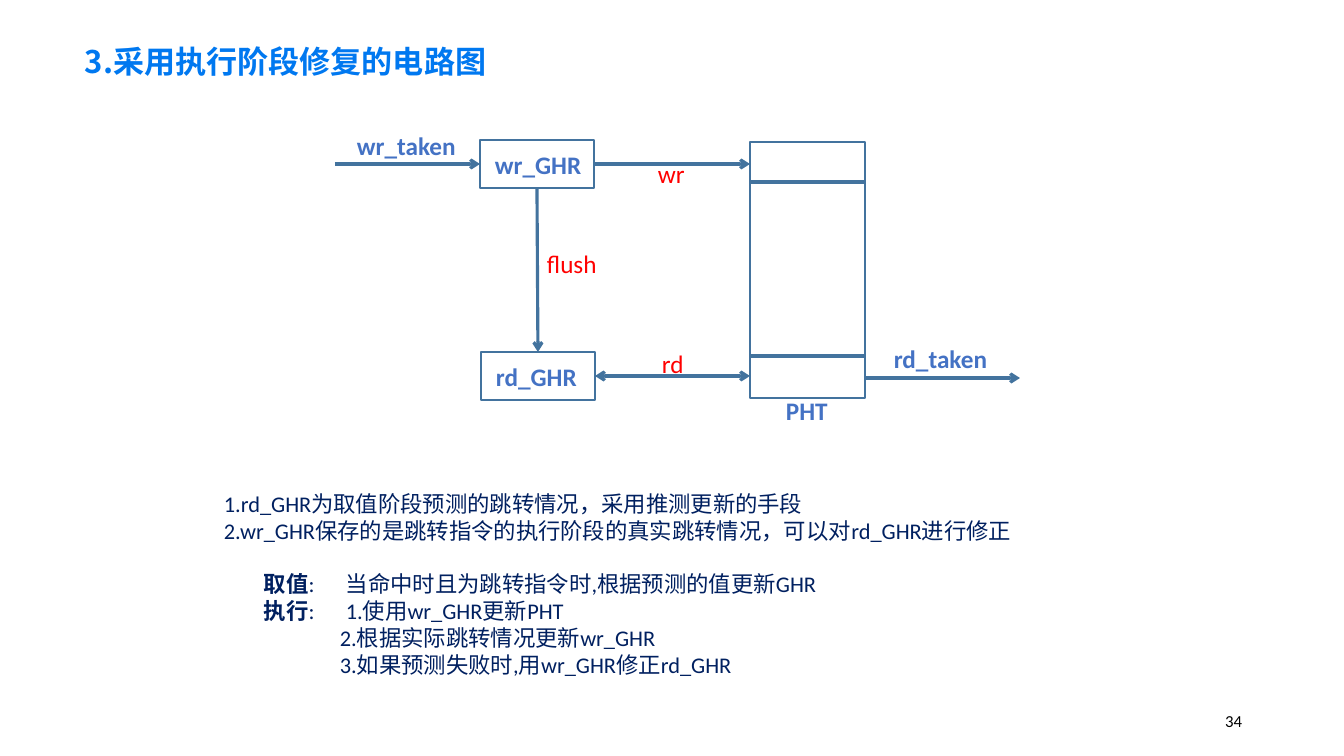
import lxml.etree
import pptx
import pptx.dml.color
import pptx.enum.shapes
import pptx.enum.text
import pptx.oxml.ns
import pptx.util

SLIDE_WIDTH, SLIDE_HEIGHT = 1344, 756
SCALE = 12192000 / SLIDE_WIDTH
COLORS = {"title": "0078F0", "line": "43739E", "label": "4472C4",
          "signal": "FF0000", "notes": "002060", "number": "000000"}
LATIN, CHINESE = "Calibri", "Noto Sans CJK SC"
ALIGN = pptx.enum.text.PP_ALIGN
ANCHOR = pptx.enum.text.MSO_ANCHOR
TOP, LEFT, BOTTOM, RIGHT = range(4)


def px(length):
    return pptx.util.Emu(round(length * SCALE))


def color(name):
    return pptx.dml.color.RGBColor.from_string(COLORS[name])


def add_xml(parent, tag, **attributes):
    return lxml.etree.SubElement(parent, pptx.oxml.ns.qn(tag), attributes)


def add_run(paragraph, text, size, color_name, bold=False, font=LATIN):
    run = paragraph.add_run()
    run.text = text
    run.font.size = pptx.util.Pt(size)
    run.font.bold = bold
    run.font.name = font
    run.font.color.rgb = color(color_name)
    add_xml(run.font._element, "a:ea", typeface=CHINESE)


def add_frame(slide, box, wrap=True, anchor=ANCHOR.TOP):
    frame = slide.shapes.add_textbox(*map(px, box)).text_frame
    frame.word_wrap = wrap
    frame.vertical_anchor = anchor
    return frame


def add_text(slide, box, text, size=18, color_name="label", bold=False,
             font=LATIN, wrap=False, anchor=ANCHOR.TOP, align=ALIGN.LEFT):
    paragraph = add_frame(slide, box, wrap, anchor).paragraphs[0]
    paragraph.alignment = align
    add_run(paragraph, text, size, color_name, bold, font)
    return paragraph


def add_rectangle(slide, box):
    kind = pptx.enum.shapes.MSO_SHAPE.RECTANGLE
    rectangle = slide.shapes.add_shape(kind, *map(px, box))
    rectangle.shadow.inherit = False
    rectangle.fill.background()
    rectangle.line.color.rgb = color("line")
    rectangle.line.width = pptx.util.Pt(1)
    return rectangle


def add_line(slide, start, end, arrows=(), begin=None, finish=None):
    """Draw a line; begin and finish are (shape, side) pairs to join."""
    kind = pptx.enum.shapes.MSO_CONNECTOR.STRAIGHT
    connector = slide.shapes.add_connector(kind, *map(px, start + end))
    connector.line.color.rgb = color("line")
    connector.line.width = pptx.util.Pt(2.25)
    for arrow in arrows:
        add_xml(connector.line._get_or_add_ln(), arrow, type="arrow")
    add_xml(connector._element.spPr, "a:effectLst")
    if begin:
        connector.begin_connect(*begin)
    if finish:
        connector.end_connect(*finish)


def add_title(slide, box):
    paragraph = add_text(slide, box, "3.采用执行阶段修复的电路图", size=22.2,
                         color_name="title", bold=True, font=CHINESE,
                         wrap=True, anchor=ANCHOR.BOTTOM)
    paragraph.line_spacing = 0.9
    paragraph.space_before = pptx.util.Pt(10)
    paragraph._p.get_or_add_pPr().set("marL", str(px(7)))


def add_register(slide, box, name):
    left, top, width, height = box
    register = add_rectangle(slide, box)
    add_text(slide, (left + 5, top + 4, width - 5, 40), name, bold=True, wrap=True)
    return register


def add_history_table(slide, box):
    left, top, width, height = box
    add_rectangle(slide, box)
    for row in (top + 40, top + 214):
        add_line(slide, (left, row), (left + width, row))
    add_text(slide, (left + 26, top + height - 8, 62, 40), "PHT", bold=True)


def add_circuit(slide, box):
    left, top, width, height = box
    write_row, read_row, read_out = top + 24, top + 236, top + 238
    table_left, table_right = left + 415, left + 530
    write_register = add_register(slide, (left + 145, top, 114, 48), "wr_GHR")
    read_register = add_register(slide, (left + 146, top + 212, 114, 48), "rd_GHR")
    add_history_table(slide, (table_left, top + 2, 115, 256))

    add_line(slide, (left, write_row), (left + 145, write_row), ["a:tailEnd"],
             finish=(write_register, LEFT))
    add_line(slide, (left + 259, write_row), (table_left, write_row), ["a:tailEnd"],
             begin=(write_register, RIGHT))
    add_line(slide, (left + 202, top + 48), (left + 203, top + 212), ["a:tailEnd"],
             begin=(write_register, BOTTOM), finish=(read_register, TOP))
    add_line(slide, (left + 260, read_row), (table_left, read_row),
             ["a:headEnd", "a:tailEnd"], begin=(read_register, RIGHT))
    add_line(slide, (table_right, read_out), (left + width, read_out), ["a:tailEnd"])

    for text, x, y in (("wr_taken", 12, -15), ("rd_taken", 549, 198)):
        add_text(slide, (left + x, top + y, 120, 40), text, bold=True)
    for text, x, y, text_width in (("wr", 313, 13, 47), ("rd", 317, 203, 44),
                                   ("flush", 202, 103, 74)):
        add_text(slide, (left + x, top + y, text_width, 40), text, color_name="signal")


def add_notes_text(slide, box):
    stage_tabs, step_tabs = (40, 122), (116,)
    lines = [
        ((), "", "1.rd_GHR为取值阶段预测的跳转情况，采用推测更新的手段"),
        ((), "", "2.wr_GHR保存的是跳转指令的执行阶段的真实跳转情况，可以对rd_GHR进行修正"),
        (stage_tabs, "\t取值", ":\t当命中时且为跳转指令时,根据预测的值更新GHR"),
        (stage_tabs, "\t执行", ":\t1.使用wr_GHR更新PHT"),
        (step_tabs, "", "\t2.根据实际跳转情况更新wr_GHR"),
        (step_tabs, "", "\t3.如果预测失败时,用wr_GHR修正rd_GHR"),
    ]
    frame = add_frame(slide, box)
    for index, (tabs, stage, text) in enumerate(lines):
        paragraph = frame.add_paragraph() if index else frame.paragraphs[0]
        if index == 2:
            paragraph.space_before = pptx.util.Pt(19)
        if tabs:
            tab_list = add_xml(paragraph._p.get_or_add_pPr(), "a:tabLst")
            for tab in tabs:
                add_xml(tab_list, "a:tab", pos=str(px(tab)), algn="l")
        if stage:
            add_run(paragraph, stage, 16, "notes", bold=True)
        add_run(paragraph, text, 16, "notes")


def main():
    presentation = pptx.Presentation()
    presentation.slide_width = px(SLIDE_WIDTH)
    presentation.slide_height = px(SLIDE_HEIGHT)
    slide = presentation.slides.add_slide(presentation.slide_layouts[6])
    add_title(slide, (68, 29, 470, 56))
    add_circuit(slide, (335, 140, 685, 260))
    add_notes_text(slide, (214, 485, 844, 227))
    add_text(slide, (950, 701, 302, 40), "34", size=12, color_name="number",
             wrap=True, anchor=ANCHOR.MIDDLE, align=ALIGN.RIGHT)
    presentation.save("out.pptx")


if __name__ == "__main__":
    main()
